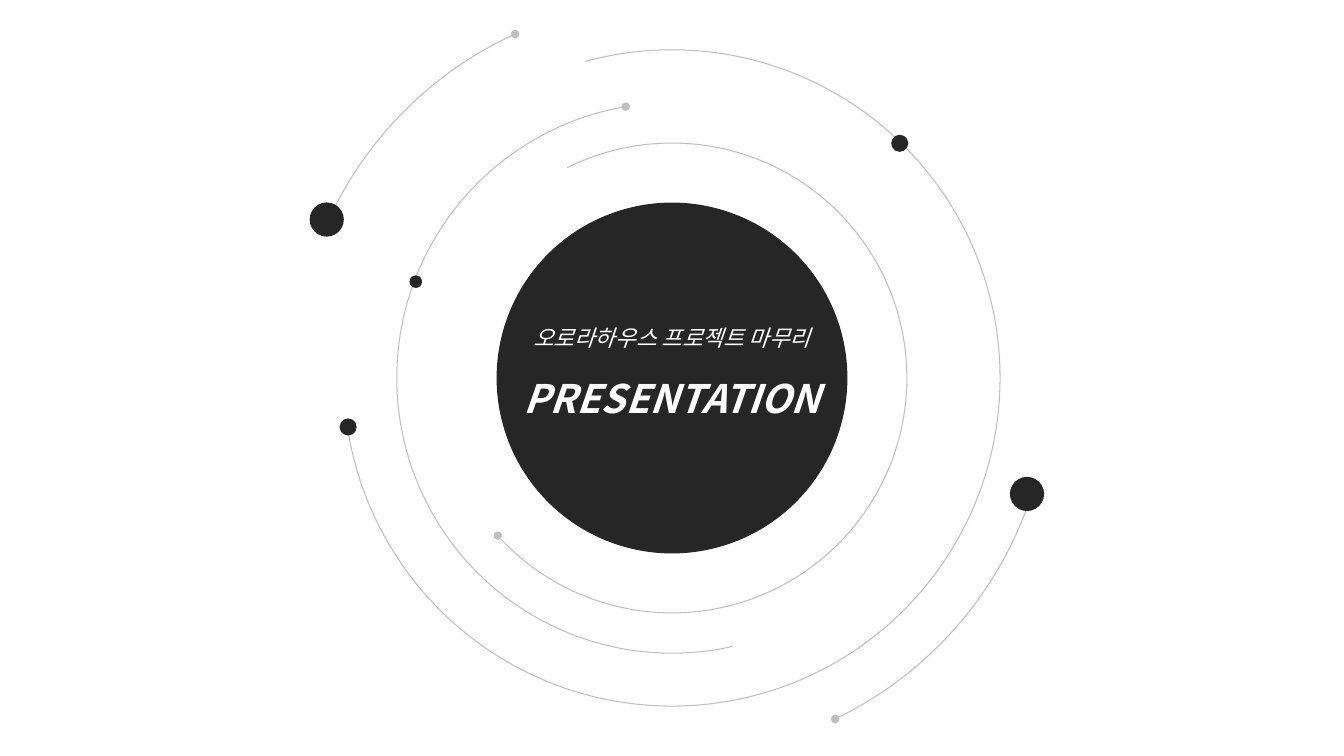
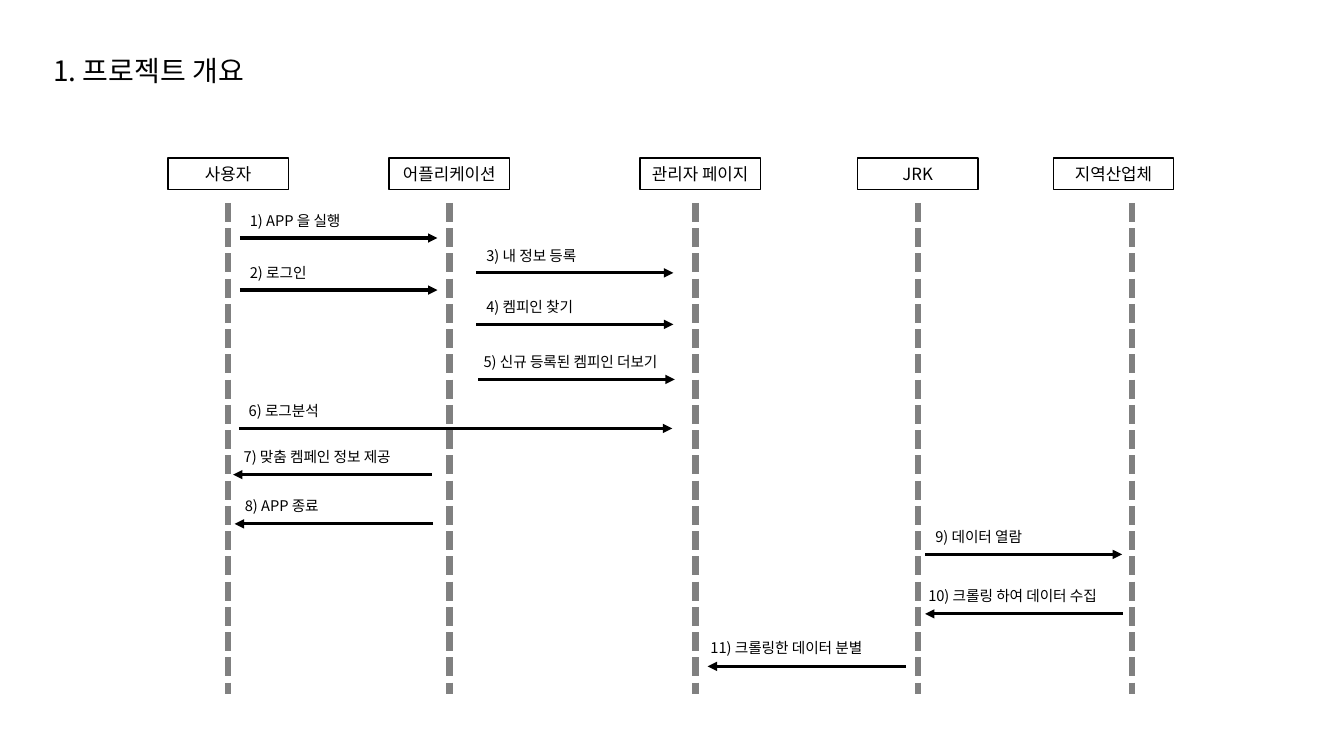
from dataclasses import dataclass

from lxml.etree import SubElement
from pptx import Presentation
from pptx.dml.color import RGBColor
from pptx.enum.dml import MSO_LINE_DASH_STYLE as Dash
from pptx.enum.shapes import MSO_CONNECTOR_TYPE as Link, MSO_SHAPE as Form
from pptx.enum.text import MSO_ANCHOR as Anchor, MSO_AUTO_SIZE as Fit, PP_ALIGN as Align
from pptx.oxml.ns import qn
from pptx.util import Pt

FONT = "Noto Sans CJK KR"
HUES = {
    "white": "FFFFFF",
    "black": "000000",
    "dark": "262626",
    "gray": "808080",
    "pale": "BFBFBF",
}
WIDE, HIGH = 960, 540


@dataclass
class Arc:
    """An arc around the slide centre, with angles in degrees."""
    size: float
    start: float
    end: float


@dataclass
class Dot:
    """A filled circle given by its centre."""
    x: float
    y: float
    size: float


@dataclass
class Lane:
    """A named box and the dashed line below it."""
    name: str
    left: float
    mid: float


@dataclass
class Step:
    """A labelled arrow between two lanes."""
    text: str
    start: float
    end: float
    y: float
    left: float
    width: float = 106.6


ARCS = [
    Arc(335.6, 243.54, 137.88),
    Arc(393.2, 77.31, 260.32),
    Arc(468.8, 254.74, 171.62),
    Arc(540, 18.97, 64.41),
    Arc(540, 203.74, 245.49),
]
CORE = Dot(WIDE / 2, HIGH / 2, 250.6)
DOTS = [
    Dot(733.6, 352.8, 24.4),
    Dot(233.4, 156.8, 24.4),
    Dot(248.7, 305, 12.2),
    Dot(297, 201.2, 9),
    Dot(642.7, 102.4, 12.2),
]
LANES = [
    Lane("사용자", 120, 162.7),
    Lane("어플리케이션", 278, 321.1),
    Lane("관리자 페이지", 457.2, 496.8),
    Lane("JRK", 612.5, 655.9),
    Lane("지역산업체", 752.4, 808.6),
]
STEPS = [
    Step("1) APP 을 실행", 171.4, 312.5, 170, 171.4),
    Step("2) 로그인", 171.4, 312.5, 207.2, 171.4),
    Step("3) 내 정보 등록", 340.3, 481, 194.9, 340.3),
    Step("4) 켐피인 찾기", 340.3, 481, 231.7, 340.3),
    Step("5) 신규 등록된 켐피인 더보기", 341.5, 482, 271, 338.4, 155.5),
    Step("6) 로그분석", 170.6, 480.2, 306, 170.6),
    Step("7) 맞춤 켐페인 정보 제공", 308.5, 166.5, 339, 167, 141),
    Step("8) APP 종료", 309.4, 167.6, 374.2, 167.8),
    Step("9) 데이터 열람", 661, 801.5, 396, 661),
    Step("10) 크롤링 하여 데이터 수집", 802, 660.8, 438.5, 656, 163.4),
    Step("11) 크롤링한 데이터 분별", 647.2, 505.5, 476, 500.4, 163.4),
]


def hue(name: str) -> RGBColor:
    """Look up a colour."""
    return RGBColor.from_string(HUES[name])


def add_run(para, text: str, size: float, tint: str = "black",
            bold: bool = False, slant: bool = False) -> None:
    """Add one styled run to a paragraph."""
    run = para.add_run()
    run.text = text
    font = run.font
    font.size, font.name = Pt(size), FONT
    font.bold, font.italic = bold, slant
    font.color.rgb = hue(tint)
    SubElement(font._element, qn("a:ea"), typeface=FONT)


def add_box(slide, left: float, top: float, width: float, high: float):
    """Add a growing text box and return its first paragraph."""
    frame = slide.shapes.add_textbox(Pt(left), Pt(top), Pt(width), Pt(high)).text_frame
    frame.word_wrap = True
    frame.auto_size = Fit.SHAPE_TO_FIT_TEXT
    return frame.paragraphs[0]


def add_form(slide, form: Form, left: float, top: float, width: float, high: float,
             fill: str = "", line: str = "", thick: float = 0):
    """Add a preset shape with a plain fill and line."""
    shape = slide.shapes.add_shape(form, Pt(left), Pt(top), Pt(width), Pt(high))
    shape.shadow.inherit = False
    if fill:
        shape.fill.solid()
        shape.fill.fore_color.rgb = hue(fill)
    else:
        shape.fill.background()
    if line:
        shape.line.color.rgb = hue(line)
        shape.line.width = Pt(thick)
    else:
        shape.line.fill.background()
    return shape


def add_tip(shape, kind: str) -> None:
    """Put an end mark on a line."""
    SubElement(shape.element.spPr.find(qn("a:ln")), qn("a:tailEnd"), type=kind)


def add_line(slide, start: tuple[float, float], end: tuple[float, float],
             tint: str, thick: float):
    """Add a straight line without a shadow."""
    ends = [Pt(n) for n in (*start, *end)]
    line = slide.shapes.add_connector(Link.STRAIGHT, *ends)
    line.line.color.rgb = hue(tint)
    line.line.width = Pt(thick)
    SubElement(line.element.spPr, qn("a:effectLst"))
    return line


def add_dot(slide, dot: Dot) -> None:
    """Draw a dark circle."""
    half = dot.size / 2
    add_form(slide, Form.OVAL, dot.x - half, dot.y - half, dot.size, dot.size, "dark")


def add_arc(slide, arc: Arc) -> None:
    """Draw a thin arc that ends in a small dot."""
    left, top = (WIDE - arc.size) / 2, (HIGH - arc.size) / 2
    shape = add_form(slide, Form.ARC, left, top, arc.size, arc.size, "", "pale", 0.75)
    for i, angle in enumerate((arc.start, arc.end)):
        shape.adjustments[i] = angle * 0.6
    add_tip(shape, "oval")


def add_lane(slide, lane: Lane) -> None:
    """Draw a lane's dashed line and its name box."""
    line = add_line(slide, (lane.mid, 145), (lane.mid, 495.4), "gray", 4.5)
    line.line.dash_style = Dash.SQUARE_DOT
    box = add_form(slide, Form.RECTANGLE, lane.left, 113, 86, 22.6, "white", "black", 1)
    frame = box.text_frame
    frame.word_wrap = True
    frame.vertical_anchor = Anchor.MIDDLE
    frame.margin_left = frame.margin_right = Pt(0)
    para = frame.paragraphs[0]
    para.alignment = Align.CENTER
    add_run(para, lane.name, 12)


def add_step(slide, step: Step) -> None:
    """Draw an arrow with its label above."""
    arrow = add_line(slide, (step.start, step.y), (step.end, step.y), "black", 2.25)
    add_tip(arrow, "triangle")
    gap = 22.2 if step.end > step.start else 23
    add_run(add_box(slide, step.left, step.y - gap, step.width, 20), step.text, 10.5)


def draw_cover(slide) -> None:
    """Draw the cover with its rings."""
    add_dot(slide, CORE)
    para = add_box(slide, CORE.x - CORE.size / 2, 218.2, CORE.size, 80.6)
    para.alignment = Align.CENTER
    para.line_spacing = 1.5
    add_run(para, "오로라하우스 프로젝트 마무리", 16, "white", slant=True)
    para.add_line_break()
    add_run(para, "PRESENTATION", 28, "white", bold=True, slant=True)
    for arc in ARCS:
        add_arc(slide, arc)
    for dot in DOTS:
        add_dot(slide, dot)


def draw_flow(slide) -> None:
    """Draw the project outline as lanes and steps."""
    for lane in LANES:
        add_lane(slide, lane)
    for step in STEPS:
        add_step(slide, step)
    add_run(add_box(slide, 31, 34.6, 188.6, 31.7), "1. 프로젝트 개요", 20)


def main() -> None:
    """Build and save the deck."""
    deck = Presentation()
    deck.slide_width, deck.slide_height = Pt(WIDE), Pt(HIGH)
    for draw in (draw_cover, draw_flow):
        draw(deck.slides.add_slide(deck.slide_layouts[6]))
    deck.save("out.pptx")


main()
